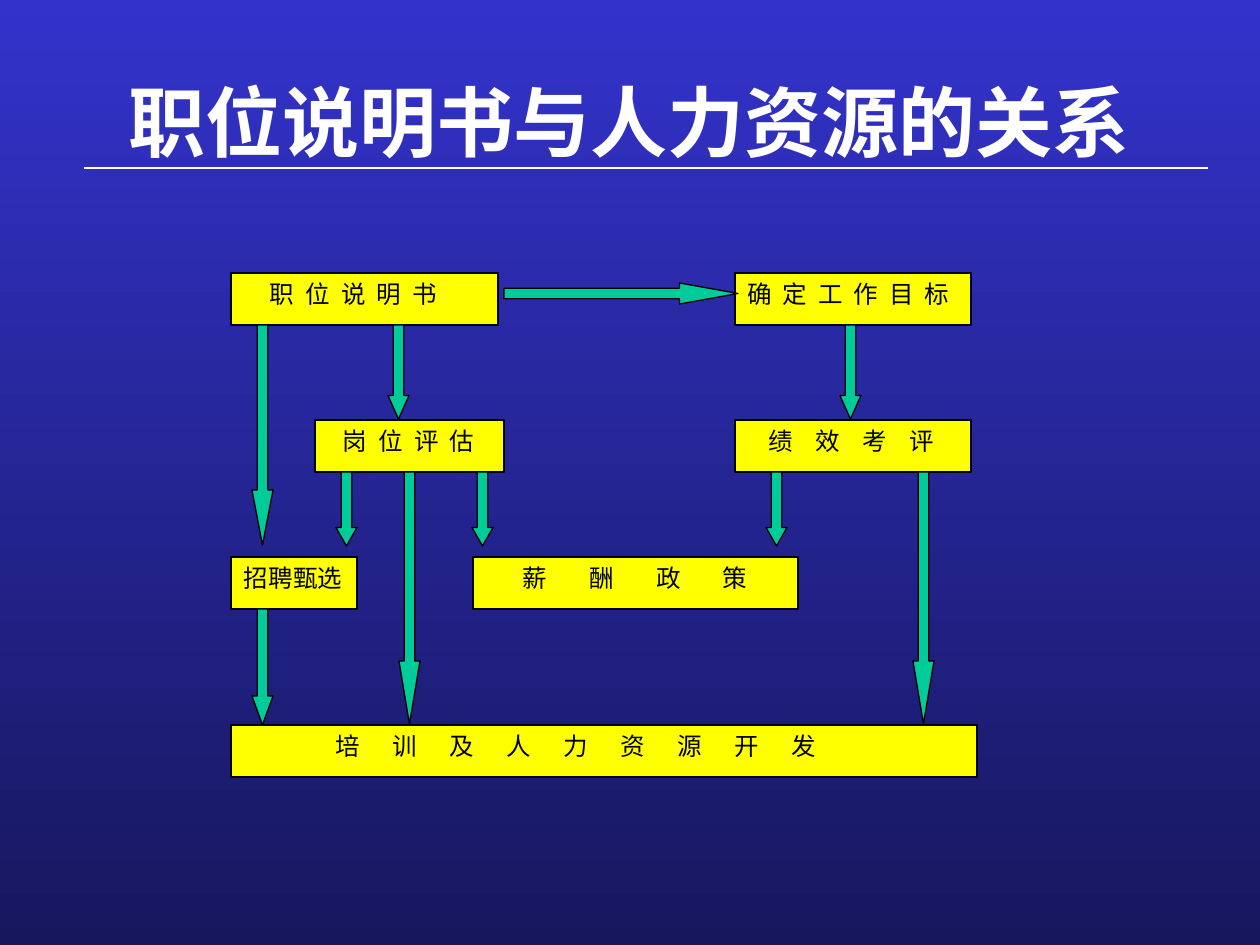
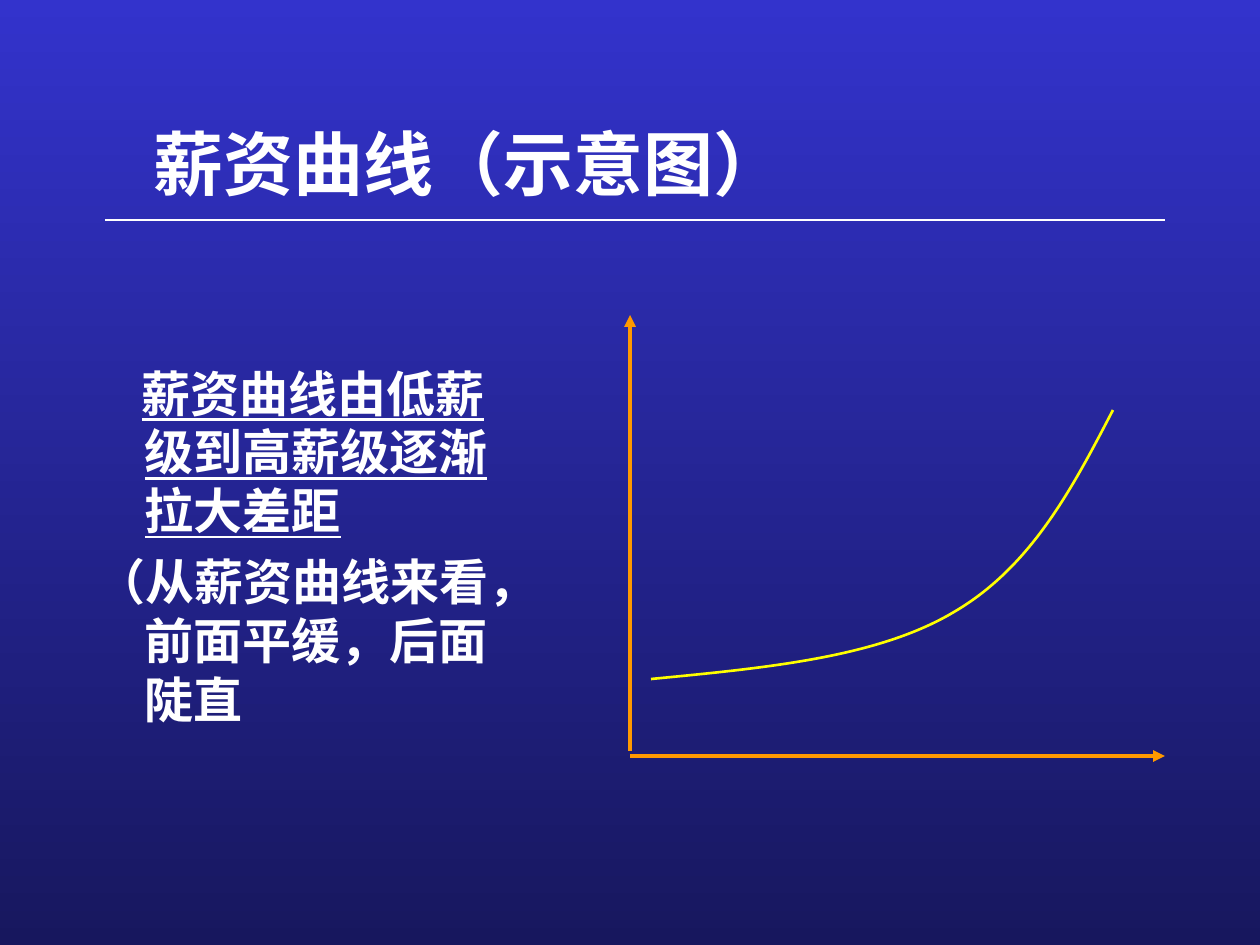
"""Build two slides: how job descriptions relate to HR, and the pay curve."""
from lxml import etree
from pptx import Presentation
from pptx.dml.color import RGBColor
from pptx.enum.shapes import MSO_CONNECTOR, MSO_SHAPE
from pptx.enum.text import MSO_ANCHOR, PP_ALIGN
from pptx.oxml.ns import qn
from pptx.util import Pt

PX = 914400 / 126
FONT = "Times New Roman"
RECT, DOWN, RIGHT = MSO_SHAPE.RECTANGLE, MSO_SHAPE.DOWN_ARROW, MSO_SHAPE.RIGHT_ARROW
STRAIGHT = MSO_CONNECTOR.STRAIGHT
TOP, MIDDLE = MSO_ANCHOR.TOP, MSO_ANCHOR.MIDDLE
LEFT, CENTER = PP_ALIGN.LEFT, PP_ALIGN.CENTER

BG_TOP, BG_BOTTOM = "3333CC", "17175E"
WHITE, BLACK, YELLOW, GREEN, ORANGE = "FFFFFF", "000000", "FFFF00", "00CC99", "FF9900"
PAD_X, PAD_Y = 13, 6
BOX_H, ARROW_W = 52, 21

# text, left, top, width, text indent, letter spacing in points
BOXES = [
    ("职位说明书", 231, 273, 267, 39, 6.3),
    ("岗位评估", 315, 420, 189, 28, 6.3),
    ("招聘甄选", 231, 557, 126, 13, 0),
    ("薪酬政策", 473, 557, 325, 50, 24),
    ("培训及人力资源开发", 231, 725, 746, 105, 18.5),
    ("确定工作目标", 735, 273, 236, 12, 6.3),
    ("绩效考评", 735, 420, 236, 34, 12.7),
]
# left, top, length
DOWN_ARROWS = [
    (252, 325, 220), (388, 325, 94), (252, 609, 116), (336, 472, 74), (766, 472, 74),
    (840, 325, 94), (472, 472, 74), (913, 472, 252), (399, 472, 252),
]
GOAL_ARROW = (504, 283, 234)

# text, first-line indent, underlined
REMARKS = [
    ("薪资曲线由低薪级到高薪级逐渐拉大差距", -3, True),
    ("（从薪资曲线来看，前面平缓，后面陡直", -48, False),
]
AXES = [((630, 751), (630, 315)), ((630, 756), (1165, 756))]
CURVE = [(651, 679), (764, 668), (877, 658), (954, 612), (1031, 567), (1072, 489), (1113, 410)]


def px(n):
    return round(n * PX)


def rgb(color):
    return RGBColor.from_string(color)


def add_slide(prs):
    s = prs.slides.add_slide(prs.slide_layouts[6])
    fill = s.background.fill
    fill.gradient()
    fill.gradient_angle = 270
    for stop, color in zip(fill.gradient_stops, (BG_TOP, BG_BOTTOM)):
        stop.color.rgb = rgb(color)
    return s


def set_frame(sp, anchor, left=PAD_X, right=PAD_X):
    tf = sp.text_frame
    tf.word_wrap = True
    tf.vertical_anchor = anchor
    tf.margin_left, tf.margin_right = px(left), px(right)
    tf.margin_top = tf.margin_bottom = px(PAD_Y)
    return tf


def add_run(p, text, size, color, bold=False, underline=False, spacing=0):
    r = p.add_run()
    r.text = text
    f = r.font
    f.name, f.size, f.bold, f.underline = FONT, Pt(size), bold, underline
    f.color.rgb = rgb(color)
    if spacing:
        r._r.get_or_add_rPr().set("spc", str(round(spacing * 100)))


def indent(p, left, first):
    pPr = p._p.get_or_add_pPr()
    pPr.set("marL", str(px(left)))
    pPr.set("indent", str(px(first)))


def add_textbox(s, box, anchor, left=PAD_X):
    return set_frame(s.shapes.add_textbox(*map(px, box)), anchor, left)


def add_title(s, text, top, size, align, left=PAD_X):
    p = add_textbox(s, (94, top, 1071, 158), anchor=MIDDLE, left=left).paragraphs[0]
    p.alignment = align
    add_run(p, text, size, WHITE, bold=True)


def add_line(s, start, end, color, width, arrow=False):
    c = s.shapes.add_connector(STRAIGHT, *map(px, start + end))
    c.line.color.rgb = rgb(color)
    c.line.width = Pt(width)
    if arrow:
        etree.SubElement(c.line._get_or_add_ln(), qn("a:tailEnd"), type="triangle")
    etree.SubElement(c._element.spPr, qn("a:effectLst"))


def add_shape(s, kind, box, color):
    sp = s.shapes.add_shape(kind, *map(px, box))
    sp.shadow.inherit = False
    sp.fill.solid()
    sp.fill.fore_color.rgb = rgb(color)
    sp.line.color.rgb = rgb(BLACK)
    sp.line.width = Pt(0.75)
    return sp


def add_arrow(s, kind, left, top, length):
    size = (length, ARROW_W) if kind == RIGHT else (ARROW_W, length)
    sp = add_shape(s, kind, (left, top) + size, GREEN)
    sp.adjustments[0] = 0.5
    sp.adjustments[1] = length / 4 / ARROW_W


def add_curve(s, points, color, width):
    builder = s.shapes.build_freeform(*points[0], scale=PX)
    builder.add_line_segments(points[1:], close=False)
    sp = builder.convert_to_shape()
    sp.shadow.inherit = False
    sp.fill.background()
    sp.line.color.rgb = rgb(color)
    sp.line.width = Pt(width)
    outline = sp._element.spPr.find(".//" + qn("a:path"))
    segments = outline.findall(qn("a:lnTo"))
    for i in range(0, len(segments), 3):
        bezier = etree.SubElement(outline, qn("a:cubicBezTo"))
        for segment in segments[i:i + 3]:
            bezier.append(segment[0])
            outline.remove(segment)


def build_relations(prs):
    s = add_slide(prs)
    add_title(s, "职位说明书与人力资源的关系", 42, 44, CENTER)
    add_line(s, (84, 168), (1208, 168), WHITE, 0.75)
    for text, left, top, width, start, spacing in BOXES:
        sp = add_shape(s, RECT, (left, top, width, BOX_H), YELLOW)
        p = set_frame(sp, TOP, start, 0).paragraphs[0]
        p.alignment = LEFT
        add_run(p, text, 14, BLACK, spacing=spacing)
    for arrow in DOWN_ARROWS:
        add_arrow(s, DOWN, *arrow)
    add_arrow(s, RIGHT, *GOAL_ARROW)


def build_pay_curve(prs):
    s = add_slide(prs)
    add_title(s, "薪资曲线（示意图）", 84, 40, LEFT, left=60)
    add_line(s, (105, 220), (1165, 220), WHITE, 0.75)
    for start, end in AXES:
        add_line(s, start, end, ORANGE, 2.25, arrow=True)
    add_curve(s, CURVE, YELLOW, 1.5)
    tf = add_textbox(s, (84, 357, 451, 420), TOP)
    for i, (text, first, underline) in enumerate(REMARKS):
        p = tf.add_paragraph() if i else tf.paragraphs[0]
        indent(p, 48, first)
        if i:
            p.space_before = Pt(7)
        add_run(p, text, 28, WHITE, bold=True, underline=underline)


def main():
    prs = Presentation()
    prs.slide_width, prs.slide_height = px(1260), px(945)
    build_relations(prs)
    build_pay_curve(prs)
    prs.save("out.pptx")


if __name__ == "__main__":
    main()
